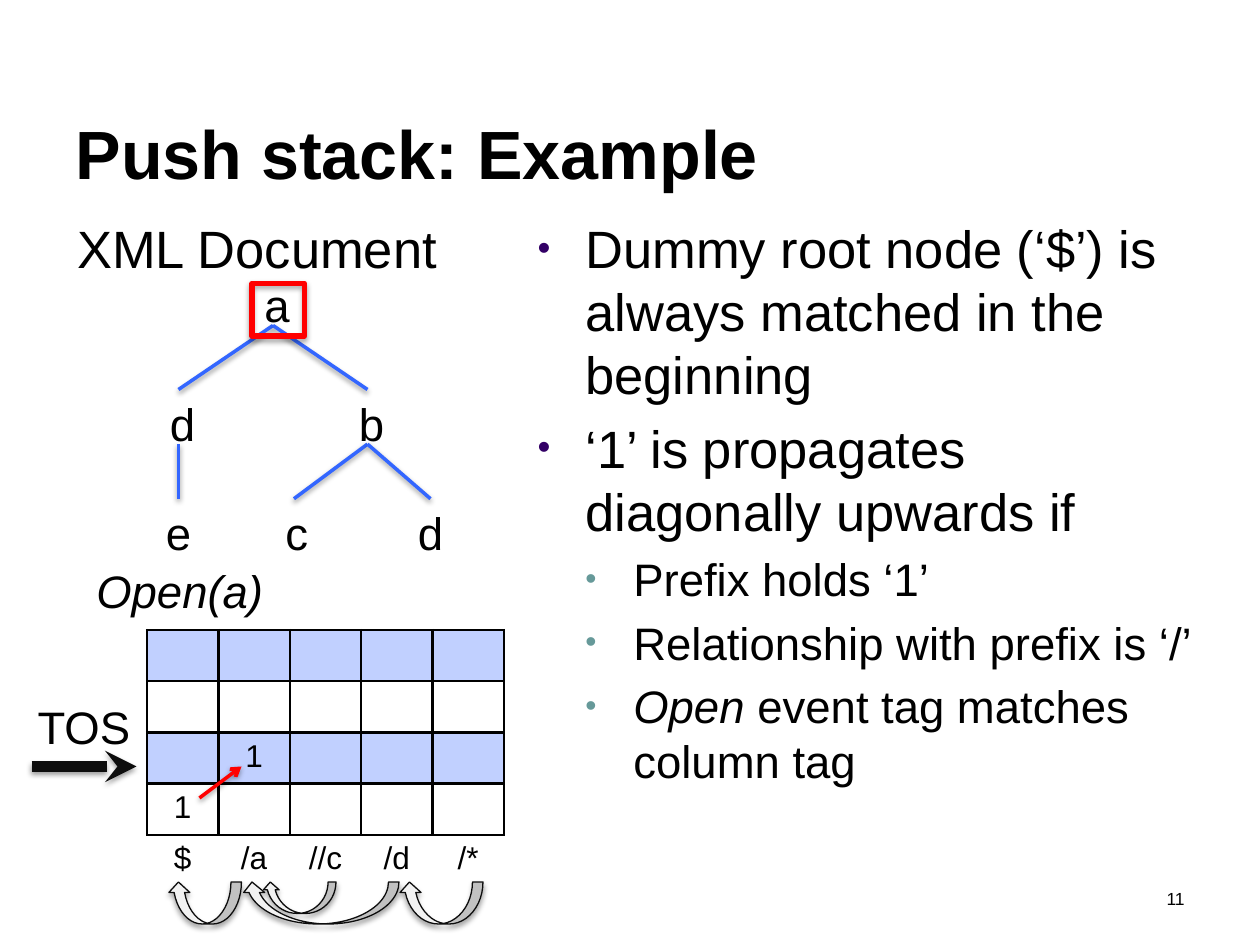
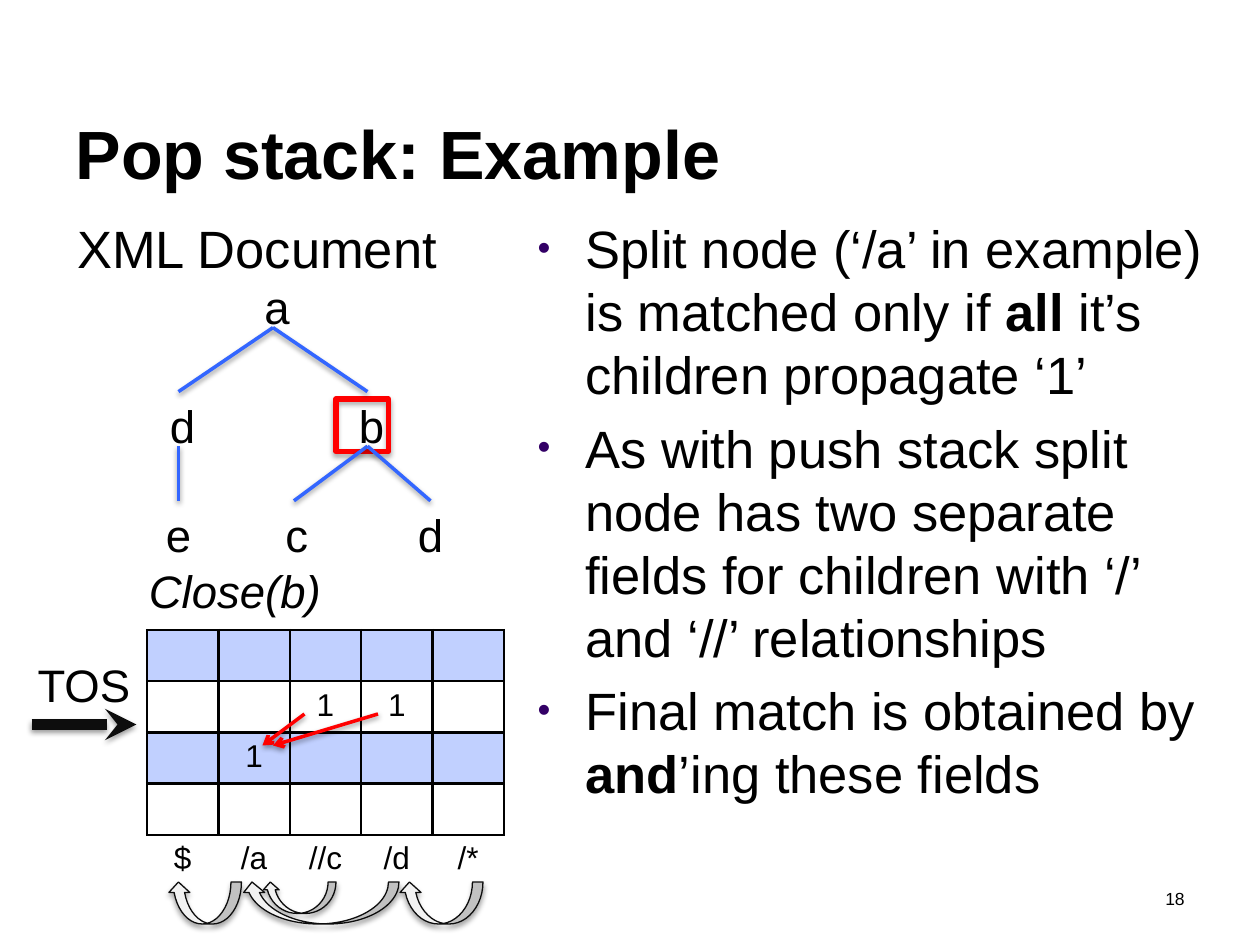
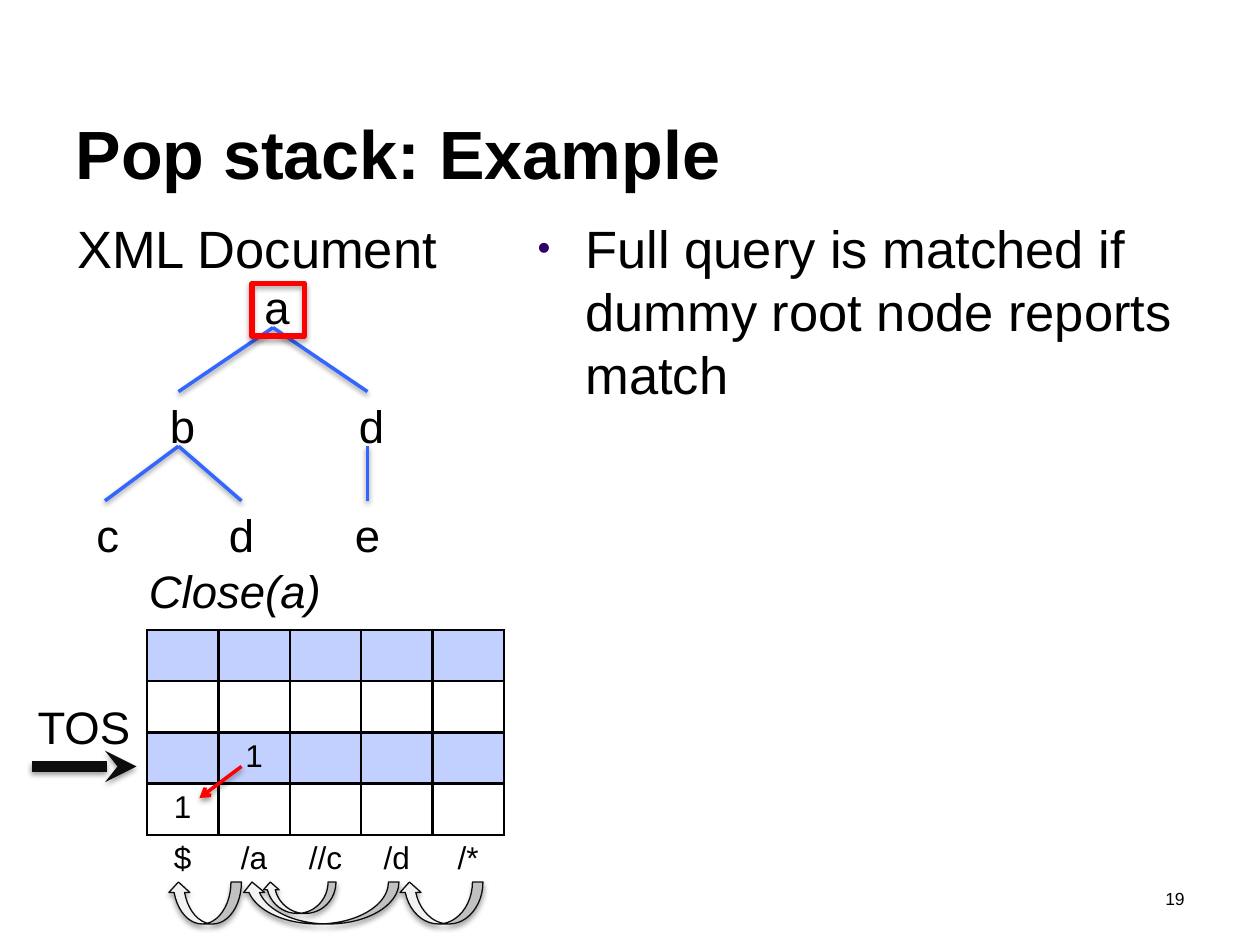
import lxml.etree
import pptx
import pptx.dml.color
import pptx.enum.shapes
import pptx.enum.text
import pptx.oxml.ns
import pptx.util

INK = {"text": "000000", "edge": "3366FF", "mark": "FF0000", "dark": "0D0D0D",
       "loop": "F2F2F2", "dot": "330066", "subdot": "669999"}
FONT = "Arial"
COLS, ROWS = 120, 90
WIDE, HIGH = pptx.util.Inches(10), pptx.util.Inches(7.5)
PLAIN = "{2D5ABB26-0587-4C30-8999-92F81FD0307C}"
ALIGN = pptx.enum.text.PP_ALIGN
SHAPE = pptx.enum.shapes.MSO_SHAPE
FIT = pptx.enum.text.MSO_AUTO_SIZE
LEAVES = {"e": [0], "cd": [-7, 6]}
TAGS = ["$", "/a", "//c", "/d", "/*"]


def rgb(name):
    """Give a named colour."""
    return pptx.dml.color.RGBColor.from_string(INK[name])


def grid(x, y):
    """Turn grid columns and rows into slide lengths."""
    return round(x * WIDE / COLS), round(y * HIGH / ROWS)


def add(node, tag, **attrs):
    """Append a drawing element with attributes."""
    return lxml.etree.SubElement(node, pptx.oxml.ns.qn("a:" + tag), attrs)


def style(part, size, bold=False, italic=False):
    """Set the font of a run or paragraph."""
    font = part.font
    font.name, font.size = FONT, pptx.util.Pt(size)
    font.bold, font.italic = bold, italic
    font.color.rgb = rgb("text")


def shade(shape, alpha, dist):
    """Cast a soft shadow downwards."""
    glow = add(shape._element.spPr, "effectLst")
    cast = add(glow, "outerShdw", blurRad=str(pptx.util.Pt(3.1)),
               dist=str(pptx.util.Pt(dist)), dir="5400000", rotWithShape="0")
    add(add(cast, "srgbClr", val=INK["text"]), "alpha", val=str(alpha * 1000))


def label(slide, text, box, size, align=ALIGN.CENTER, italic=False):
    """Write one line of text in a box."""
    shape = slide.shapes.add_textbox(*grid(*box[:2]), *grid(*box[2:]))
    frame = shape.text_frame
    frame.word_wrap = True
    frame.auto_size = FIT.SHAPE_TO_FIT_TEXT
    frame.text = text
    frame.paragraphs[0].alignment = align
    style(frame.paragraphs[0].runs[0], size, italic=italic)


def line(slide, start, end, color, width, head=None):
    """Draw a shaded line, with an arrowhead if one is named."""
    kind = pptx.enum.shapes.MSO_CONNECTOR.STRAIGHT
    link = slide.shapes.add_connector(kind, *grid(*start), *grid(*end))
    link.line.color.rgb = rgb(color)
    link.line.width = pptx.util.Pt(width)
    if head:
        add(link.line._get_or_add_ln(), "tailEnd", type=head)
    shade(link, 38, 1.6)


def block(slide, kind, box, color, width, fill=None):
    """Draw a shaded preset shape."""
    shape = slide.shapes.add_shape(kind, *grid(*box[:2]), *grid(*box[2:]))
    if fill:
        shape.fill.solid()
        shape.fill.fore_color.rgb = rgb(fill)
    else:
        shape.fill.background()
    shape.line.color.rgb = rgb(color)
    shape.line.width = pptx.util.Pt(width)
    shade(shape, 35, 1.8)
    return shape


def tree(slide, x, y, kids):
    """Draw the document tree below its root."""
    drop, mid, low = 5.2, y + 11.3, y + 21.7
    label(slide, "a", (x - 2, y, 4, drop), 26)
    for side, (name, leaves) in zip((-9, 9), kids):
        stem = x + side
        line(slide, (x, y + drop), (stem, mid), "edge", 2)
        label(slide, name, (stem - 2, mid, 4, drop), 26)
        for leaf, shift in zip(leaves, LEAVES[leaves]):
            spot = stem + shift
            half = 2 if leaf == "c" else 3
            line(slide, (stem, mid + drop), (spot, low), "edge", 2)
            label(slide, leaf, (spot - half, low, 2 * half, drop), 26)


def stack(slide, box, ones):
    """Draw the stack table with its column tags."""
    table = slide.shapes.add_table(5, 5, *grid(*box[:2]), *grid(*box[2:])).table
    table.first_row = table.horz_banding = False
    table._tbl.tblPr.find(pptx.oxml.ns.qn("a:tableStyleId")).text = PLAIN
    for row in range(5):
        for col in range(5):
            cell = table.cell(row, col)
            cell.text = TAGS[col] if row == 4 else "1" if (row, col) in ones else ""
            cell.text_frame.paragraphs[0].alignment = ALIGN.CENTER
            style(cell.text_frame.paragraphs[0], 18)
            props = cell._tc.get_or_add_tcPr()
            for side in "T" if row == 4 else "LRTB":
                rule = add(props, "ln" + side, w=str(pptx.util.Pt(1.5)))
                add(add(rule, "solidFill"), "srgbClr", val=INK["text"])
            if row in (0, 2):
                cell.fill.solid()
                cell.fill.fore_color.rgb = rgb("edge")
                tint = props.find(".//" + pptx.oxml.ns.qn("a:solidFill") + "[last()]")
                tint = props.find(pptx.oxml.ns.qn("a:solidFill"))
                add(tint[0], "alpha", val="30000")
            else:
                cell.fill.background()


def loops(slide, x, y):
    """Draw the curved arrows from each tag to its prefix."""
    for left, wide, high in ((2, 7, 4), (11, 7, 3), (24, 8, 4), (9, 15, 4)):
        box = (x + left, y, wide, high)
        loop = block(slide, SHAPE.CURVED_UP_ARROW, box, "dark", 0.75, "loop")
        loop._element.spPr.xfrm.set("flipH", "1")


def top(slide, x, y):
    """Point at the top of the stack."""
    label(slide, "TOS", (x, y, 12, 6.5), 26)
    line(slide, (x + 1, y + 7), (x + 11, y + 7), "dark", 6, "stealth")


def place(shape, box):
    """Move a placeholder and stop it from shrinking its text."""
    shape.left, shape.top = grid(*box[:2])
    shape.width, shape.height = grid(*box[2:])
    shape.text_frame.auto_size = FIT.NONE
    return shape.text_frame


def title(slide, text, box):
    """Fill the title placeholder."""
    frame = place(slide.shapes.title, box)
    frame.vertical_anchor = pptx.enum.text.MSO_ANCHOR.BOTTOM
    frame.text = text
    frame.paragraphs[0].alignment = ALIGN.LEFT
    style(frame.paragraphs[0].runs[0], 39, bold=True)


def points(slide, items, box):
    """Fill the body placeholder; bars enclose stressed words."""
    frame = place(slide.placeholders[1], box)
    for index, (level, text) in enumerate(items):
        para = frame.add_paragraph() if index else frame.paragraphs[0]
        size = 26 if level else 30
        para.level = level
        para.space_before = pptx.util.Pt(0.2 * size if index else 0)
        props = para._p.get_or_add_pPr()
        step = pptx.util.Inches(0.38)
        props.set("marL", str(step * (level + 1)))
        props.set("indent", str(-step))
        add(add(props, "buClr"), "srgbClr", val=INK["subdot" if level else "dot"])
        add(props, "buSzPct", val="70000")
        add(props, "buFont", typeface=FONT)
        add(props, "buChar", char="•")
        for turn, part in enumerate(text.split("|")):
            if part:
                run = para.add_run()
                run.text = part
                stress = turn % 2 == 1
                style(run, size, stress and not level, stress and level > 0)


def page(deck, data):
    """Build one example slide."""
    slide = deck.slides.add_slide(deck.slide_layouts[1])
    title(slide, data["title"], (6, 9, 108, 10))
    points(slide, data["points"], (50, 20, 66, 62))
    label(slide, "XML Document", (6, 20, 37, 7.3), 30)
    label(slide, str(data["page"]), (86, 84, 28, 4), 10, ALIGN.RIGHT)
    mark = (*data["mark"], 5, 5)
    if data["under"]:
        block(slide, SHAPE.RECTANGLE, mark, "mark", 3)
    tree(slide, 26, data["root"], data["kids"])
    if not data["under"]:
        block(slide, SHAPE.RECTANGLE, mark, "mark", 3)
    stack(slide, (14, 60, 34, 24.4), data["ones"])
    loops(slide, 14, 84)
    label(slide, data["event"], (data["left"], 53, 37, 6.5), 26, ALIGN.LEFT, True)
    top(slide, 2, data["top"])
    for start, end in data["moves"]:
        line(slide, start, end, "mark", 2, "arrow")


PAGES = [
    {"title": "Push stack: Example", "page": 11, "root": 25.8,
     "kids": [("d", "e"), ("b", "cd")], "mark": (24, 27), "under": False,
     "event": "Open(a)", "left": 8, "top": 66, "ones": {(2, 1), (3, 0)},
     "moves": [((19, 76), (23, 73))],
     "points": [(0, "Dummy root node (‘$’) is always matched in the beginning"),
                (0, "‘1’ is propagates diagonally upwards if"),
                (1, "Prefix holds ‘1’"),
                (1, "Relationship with prefix is ‘/’"),
                (1, "|Open| event tag matches column tag")]},
    {"title": "Pop stack: Example", "page": 18, "root": 26,
     "kids": [("d", "e"), ("b", "cd")], "mark": (32, 38), "under": True,
     "event": "Close(b)", "left": 13, "top": 62, "ones": {(1, 2), (1, 3), (2, 1)},
     "moves": [((29, 68), (25, 71)), ((36, 68), (26, 71))],
     "points": [(0, "Split node (‘/a’ in example) is matched only if |all| it’s "
                    "children propagate ‘1’"),
                (0, "As with push stack split node has two separate fields for "
                    "children with ‘/’ and ‘//’ relationships"),
                (0, "Final match is obtained by |and|’ing these fields")]},
    {"title": "Pop stack: Example", "page": 19, "root": 26,
     "kids": [("b", "cd"), ("d", "e")], "mark": (24, 27), "under": False,
     "event": "Close(a)", "left": 13, "top": 66, "ones": {(2, 1), (3, 0)},
     "moves": [((23, 73), (19, 76))],
     "points": [(0, "Full query is matched if dummy root node reports match")]},
]


def main():
    """Build and save the deck."""
    deck = pptx.Presentation()
    deck.slide_width, deck.slide_height = WIDE, HIGH
    for data in PAGES:
        page(deck, data)
    deck.save("out.pptx")


if __name__ == "__main__":
    main()
